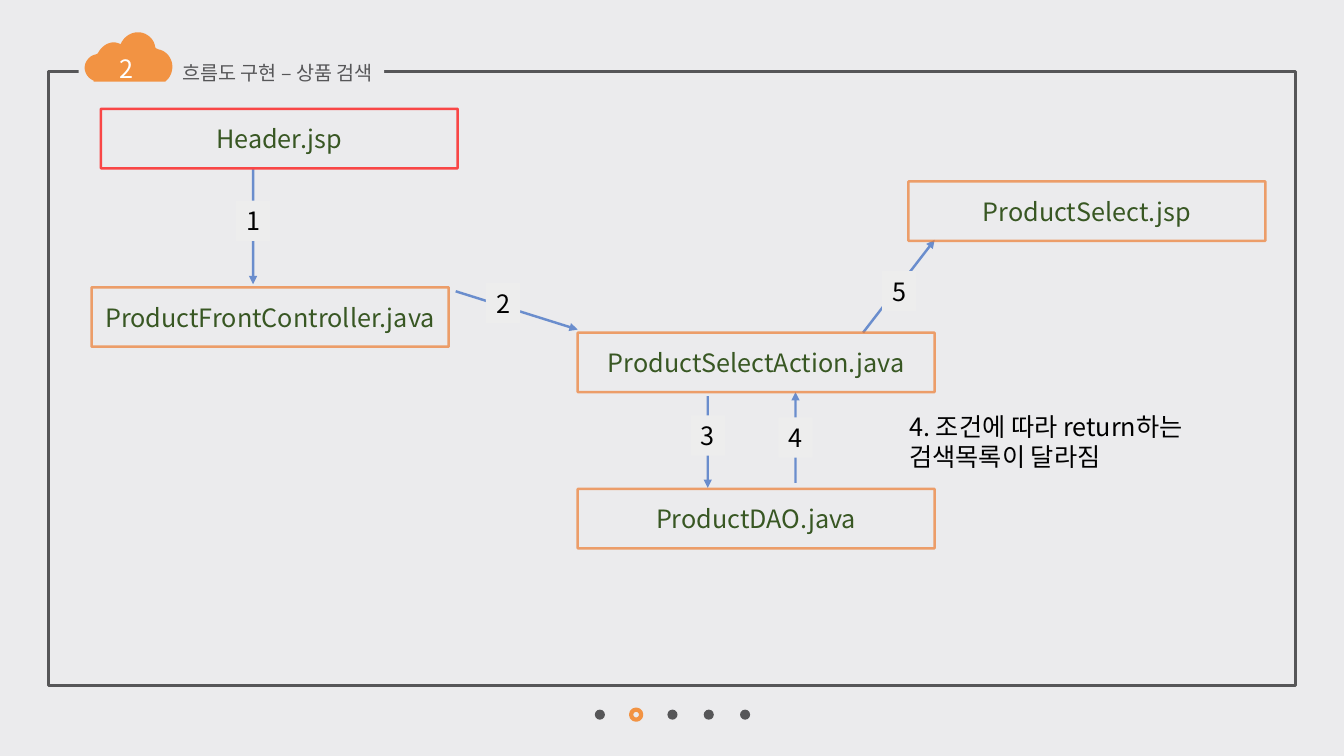
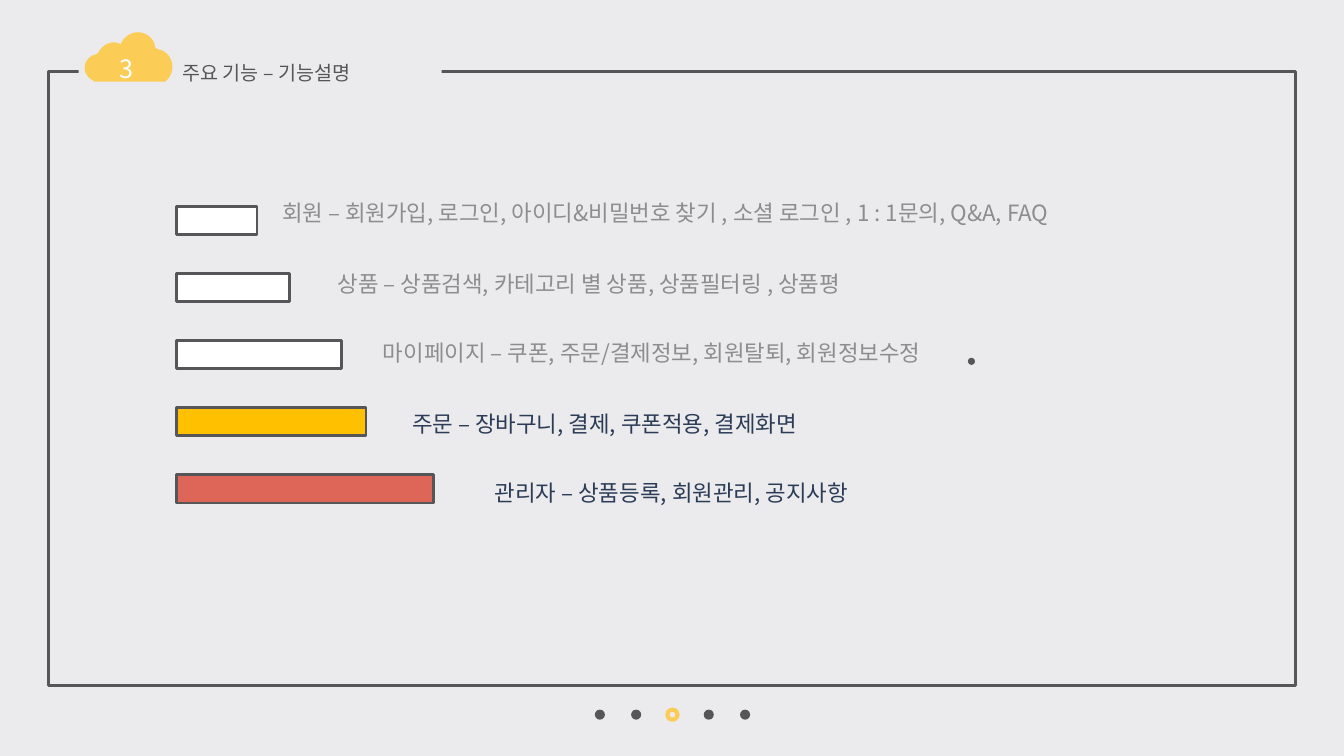
from lxml import etree
from pptx import Presentation
from pptx.dml.color import RGBColor
from pptx.enum.shapes import MSO_CONNECTOR, MSO_SHAPE
from pptx.enum.text import MSO_ANCHOR, PP_ALIGN
from pptx.oxml.ns import qn
from pptx.util import Pt

RECTANGLE, OVAL = MSO_SHAPE.RECTANGLE, MSO_SHAPE.OVAL
STRAIGHT = MSO_CONNECTOR.STRAIGHT
LEFT, CENTER = PP_ALIGN.LEFT, PP_ALIGN.CENTER
TOP, MIDDLE = MSO_ANCHOR.TOP, MSO_ANCHOR.MIDDLE

PX = 9144
FONT = "Noto Sans CJK KR"
LINE_HEIGHT = 1.2
PAPER, INK, WHITE, BLACK = "EBEBED", "565658", "FFFFFF", "000000"
ORANGE, YELLOW = "F29343", "FBCC56"
BOX_ORANGE, BOX_RED, BOX_TEXT = "ED7D31", "FF0000", "385723"
ARROW_BLUE, LABEL_FILL = "4472C4", "EDEDED"
MUTED, NAVY, AMBER, CORAL = "8D8D8F", "2C3B56", "FFC000", "DE6658"

CLOUD_START = (137, 32)
CLOUD_SEGMENTS = [
    (145, 32, 153, 38, 154, 47), (155, 48), (157, 49),
    (165, 50, 171, 58, 171, 66), (171, 71, 169, 76, 166, 79),
    (164, 81), (93, 81), (93, 80),
    (88, 78, 84, 73, 84, 67), (84, 61, 89, 55, 95, 54), (97, 53),
    (100, 47, 106, 42, 113, 42), (115, 42, 118, 43, 120, 44), (120, 43),
    (123, 37, 129, 32, 137, 32),
]


def px(length):
    return round(length * PX)


def color(value):
    return RGBColor.from_string(value)


def write(shape, text, size=18, ink=BLACK, align=LEFT, anchor=TOP,
          wrap=True, side=10):
    frame = shape.text_frame
    frame.word_wrap = wrap
    frame.vertical_anchor = anchor
    frame.margin_left = frame.margin_right = px(side)
    frame.margin_top = frame.margin_bottom = px(5)
    for index, line in enumerate(text.split("\n")):
        para = frame.add_paragraph() if index else frame.paragraphs[0]
        para.alignment = align
        para.line_spacing = Pt(size * LINE_HEIGHT)
        span = para.add_run()
        span.text = line
        span.font.size = Pt(size)
        span.font.name = FONT
        span.font.color.rgb = color(ink)
        etree.SubElement(span.font._element, qn("a:ea"), typeface=FONT)


def stroke(item, ink, width, alpha=100):
    item.line.color.rgb = color(ink)
    item.line.width = Pt(width)
    outline = item._element.spPr.find(qn("a:ln"))
    if alpha < 100:
        tint = outline.find(".//" + qn("a:srgbClr"))
        etree.SubElement(tint, qn("a:alpha"), val=str(alpha * 1000))
    return outline


def curve_points(start, segment, steps=10):
    ends = [start, segment[0:2], segment[2:4], segment[4:6]]
    for step in range(1, steps + 1):
        t = step / steps
        weights = ((1 - t) ** 3, 3 * t * (1 - t) ** 2, 3 * t * t * (1 - t), t ** 3)
        yield tuple(sum(w * end[axis] for w, end in zip(weights, ends))
                    for axis in (0, 1))


class Board:
    """Holds the deck, its shared style and the current page."""

    def __init__(self):
        self.deck = Presentation()
        self.deck.slide_width, self.deck.slide_height = px(1333), px(750)
        self.page = None

    def new_page(self, number, title, accent, title_width, gap_width):
        self.page = self.deck.slides.add_slide(self.deck.slide_layouts[6])
        background = self.page.background.fill
        background.solid()
        background.fore_color.rgb = color(PAPER)
        self.shape(48, 71, 1237, 609, line=INK, weight=2)
        for index in range(5):
            dot = (590 + 36 * index, 704, 10, 10)
            if index + 1 == number:
                self.shape(*dot, kind=OVAL, line=accent, weight=3)
            else:
                self.shape(*dot, kind=OVAL, fill=INK)
        self.shape(78, 57, gap_width, 29, fill=PAPER)
        self.text(171, 56, title_width, 34, title, size=14, ink=INK)
        self.cloud(accent)
        self.text(109, 48, 33, 40, str(number), ink=WHITE, align=CENTER,
                  wrap=False, side=0)

    def shape(self, left, top, width, height, kind=RECTANGLE, fill=None,
              line=None, weight=1, alpha=100):
        shape = self.page.shapes.add_shape(
            kind, px(left), px(top), px(width), px(height))
        self.paint(shape, fill)
        if line:
            stroke(shape, line, weight, alpha)
        return shape

    def paint(self, shape, fill):
        shape.shadow.inherit = False
        shape.line.fill.background()
        if fill:
            shape.fill.solid()
            shape.fill.fore_color.rgb = color(fill)
        else:
            shape.fill.background()

    def cloud(self, fill):
        points, last = [], CLOUD_START
        for segment in CLOUD_SEGMENTS:
            if len(segment) == 6:
                points.extend(curve_points(last, segment))
            else:
                points.append(segment)
            last = segment[-2:]
        builder = self.page.shapes.build_freeform(
            px(CLOUD_START[0]), px(CLOUD_START[1]))
        builder.add_line_segments([(px(x), px(y)) for x, y in points])
        self.paint(builder.convert_to_shape(), fill)

    def text(self, left, top, width, height, text, **style):
        box = self.page.shapes.add_textbox(
            px(left), px(top), px(width), px(height))
        write(box, text, **style)

    def file_box(self, left, top, name, line=BOX_ORANGE):
        box = self.shape(left, top, 354, 59, line=line, weight=1.75, alpha=70)
        write(box, name, ink=BOX_TEXT, align=CENTER, anchor=MIDDLE)

    def arrow(self, *ends):
        arrow = self.page.shapes.add_connector(STRAIGHT, *map(px, ends))
        outline = stroke(arrow, ARROW_BLUE, 1.75, 77)
        etree.SubElement(outline, qn("a:tailEnd"), type="triangle")
        etree.SubElement(arrow._element.spPr, qn("a:effectLst"))

    def step_label(self, left, top, number):
        label = self.shape(left, top, 34, 40, fill=LABEL_FILL)
        write(label, str(number), align=CENTER, wrap=False, side=0)


def search_flow(board):
    board.new_page(2, "흐름도 구현 – 상품 검색", ORANGE, 253, 303)
    steps = [
        ((251, 168, 251, 282), (234, 199)),
        ((452, 289, 573, 327), (482, 281)),
        ((702, 393, 702, 484), (685, 412)),
        ((789, 479, 789, 389), (772, 414)),
        ((856, 330, 927, 238), (875, 269)),
    ]
    for number, (ends, corner) in enumerate(steps, 1):
        board.arrow(*ends)
        board.step_label(*corner, number)
    board.file_box(100, 108, "Header.jsp", BOX_RED)
    board.file_box(91, 285, "ProductFrontController.java")
    board.file_box(573, 330, "ProductSelectAction.java")
    board.file_box(573, 485, "ProductDAO.java")
    board.file_box(901, 180, "ProductSelect.jsp")
    board.text(892, 403, 367, 71, "4. 조건에 따라 return하는\n검색목록이 달라짐")


def main_features(board):
    board.new_page(3, "주요 기능 – 기능설명", YELLOW, 187, 360)
    board.shape(960, 355, 7, 7, kind=OVAL, fill=INK)
    features = [
        (80, WHITE, MUTED, 270, 193, 818,
         "회원 – 회원가입, 로그인, 아이디&비밀번호 찾기 , 소셜 로그인 , 1 : 1문의, Q&A, FAQ"),
        (112, WHITE, MUTED, 325, 263, 537,
         "상품 – 상품검색, 카테고리 별 상품, 상품필터링 , 상품평"),
        (164, WHITE, MUTED, 370, 332, 572,
         "마이페이지 – 쿠폰, 주문/결제정보, 회원탈퇴, 회원정보수정"),
        (188, AMBER, NAVY, 399, 402, 406,
         "주문 – 장바구니, 결제, 쿠폰적용, 결제화면"),
        (255, CORAL, NAVY, 481, 470, 372,
         "관리자 – 상품등록, 회원관리, 공지사항"),
    ]
    for row, (length, fill, ink, left, top, width, text) in enumerate(features):
        board.shape(175, 205 + round(66.4 * row), length, 28,
                    fill=fill, line=INK, weight=2)
        board.text(left, top, width, 37, text, size=16, ink=ink)


def main():
    board = Board()
    search_flow(board)
    main_features(board)
    board.deck.save("out.pptx")


if __name__ == "__main__":
    main()
